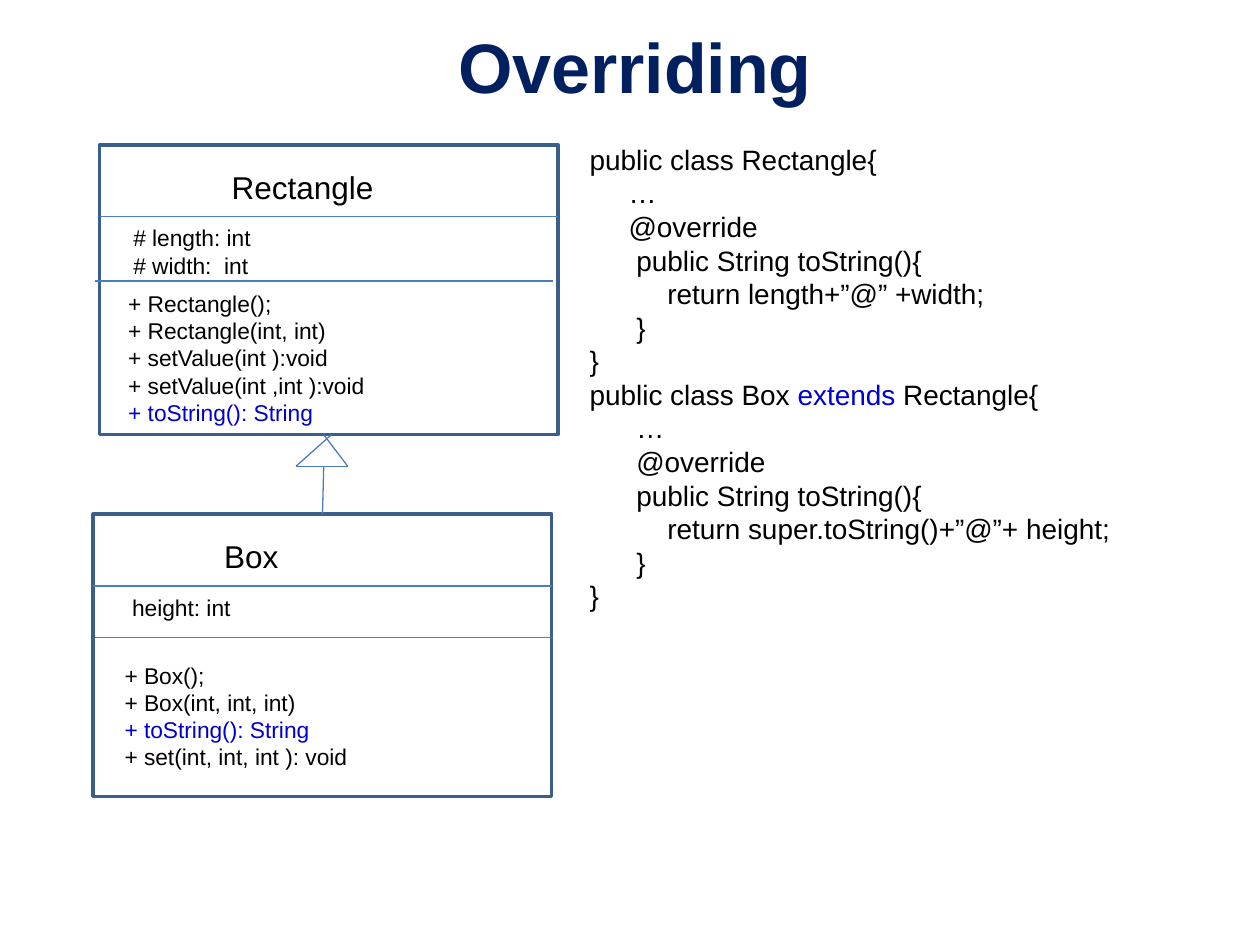
from lxml import etree
from pptx import Presentation
from pptx.dml.color import RGBColor
from pptx.enum.shapes import MSO_CONNECTOR, MSO_SHAPE
from pptx.enum.text import MSO_ANCHOR, PP_ALIGN
from pptx.oxml.ns import qn
from pptx.util import Pt

COLORS = {"title": "002060", "text": "000000", "accent": "0000CC",
          "border": "3A5F8C", "line": "4B7EBC"}
SPACE_WIDTH = 4.45  # one space of 16 pt Arial

presentation = Presentation()
presentation.slide_width, presentation.slide_height = Pt(720), Pt(540)
slide = presentation.slides.add_slide(presentation.slide_layouts[6])


def add_text(bounds, lines, size, color="text", bold=False,
             align=PP_ALIGN.LEFT, anchor=MSO_ANCHOR.TOP):
    """Each line is (indent in points, [(text, color or None), ...])."""
    frame = slide.shapes.add_textbox(*map(Pt, bounds)).text_frame
    frame.word_wrap = True
    frame.vertical_anchor = anchor
    for number, (indent, pieces) in enumerate(lines):
        paragraph = frame.paragraphs[0] if number == 0 else frame.add_paragraph()
        paragraph.alignment = align
        paragraph.line_spacing = Pt(round(size * 1.2, 1))
        if indent:
            paragraph._p.get_or_add_pPr().set("marL", str(Pt(indent)))
        for text, piece_color in pieces:
            run = paragraph.add_run()
            run.text = text
            for key, value in {"name": "Arial", "size": Pt(size), "bold": bold}.items():
                setattr(run.font, key, value)
            run.font.color.rgb = RGBColor.from_string(COLORS[piece_color or color])


def add_line(x1, y1, x2, y2):
    line = slide.shapes.add_connector(MSO_CONNECTOR.STRAIGHT, *map(Pt, (x1, y1, x2, y2)))
    line.line.color.rgb = RGBColor.from_string(COLORS["line"])
    line.line.width = Pt(0.75)
    etree.SubElement(line._element.spPr, qn("a:effectLst"))


add_text((38.9, 9.4, 648, 56), [(0, [("Overriding", None)])], 40, "title", True,
         PP_ALIGN.CENTER, MSO_ANCHOR.MIDDLE)

# UML classes
CLASS_WIDTH = 262
uml_classes = [
    {"name": "Box", "bounds": (53.3, 293.8, CLASS_WIDTH, 161.3),
     "dividers": [(53.3, 334.8), (54, 364.3)],
     "name_at": (121, 303.1),
     "attributes_at": (68.4, 335.5), "attributes": ["height: int"],
     "methods_at": (64.1, 374.4),
     "methods": ["+ Box();", "+ Box(int, int, int)", "+ toString(): String",
                 "+ set(int, int, int ): void"]},
    {"name": "Rectangle", "bounds": (56.9, 82.8, CLASS_WIDTH, 165.6),
     "dividers": [(56.9, 123.8), (54, 160.6)],
     "name_at": (125.3, 92.2),
     "attributes_at": (69.1, 124.6), "attributes": ["# length: int", "# width:  int"],
     "methods_at": (66.2, 162),
     "methods": ["+ Rectangle();", "+ Rectangle(int, int)", "+ setValue(int ):void",
                 "+ setValue(int ,int ):void", "+ toString(): String"]},
]
for uml in uml_classes:
    outline = slide.shapes.add_shape(MSO_SHAPE.RECTANGLE, *map(Pt, uml["bounds"]))
    outline.shadow.inherit = False
    outline.fill.background()
    outline.line.color.rgb = RGBColor.from_string(COLORS["border"])
    outline.line.width = Pt(2)
    for left, y in uml["dividers"]:
        add_line(left, y, left + CLASS_WIDTH, y)
    add_text((*uml["name_at"], 110, 28.8), [(0, [(uml["name"], None)])], 18)
    for part in ("attributes", "methods"):
        members = uml[part]
        lines = [(0, [(member, "accent" if "toString" in member else None)])
                 for member in members]
        add_text((*uml[part + "_at"], 230, 7.2 + 15.6 * len(members)), lines, 13)

# Inheritance arrow from Box up to Rectangle
for segment in [(184.3, 293.8, 185, 266.4), (185, 248.4, 198.7, 266.4),
                (189.4, 248.4, 169.2, 266.4), (169.2, 266.4, 198.7, 266.4)]:
    add_line(*segment)

# Java code: indent in spaces, then the text pieces
code = [
    (0, [("public class Rectangle{", None)]),
    (5, [("…", None)]),
    (5, [("@override", None)]),
    (6, [("public String toString(){", None)]),
    (10, [("return length+”@” +width;", None)]),
    (6, [("}", None)]),
    (0, [("}", None)]),
    (0, [("public class Box ", None), ("extends", "accent"), (" Rectangle{", None)]),
    (6, [("…", None)]),
    (6, [("@override", None)]),
    (6, [("public String toString(){", None)]),
    (10, [("return super.toString()+”@”+ height;", None)]),
    (6, [("}", None)]),
    (0, [("}", None)]),
]
add_text((329.8, 77.8, 378, 278.6),
         [(spaces * SPACE_WIDTH, pieces) for spaces, pieces in code], 16)

presentation.save("out.pptx")
